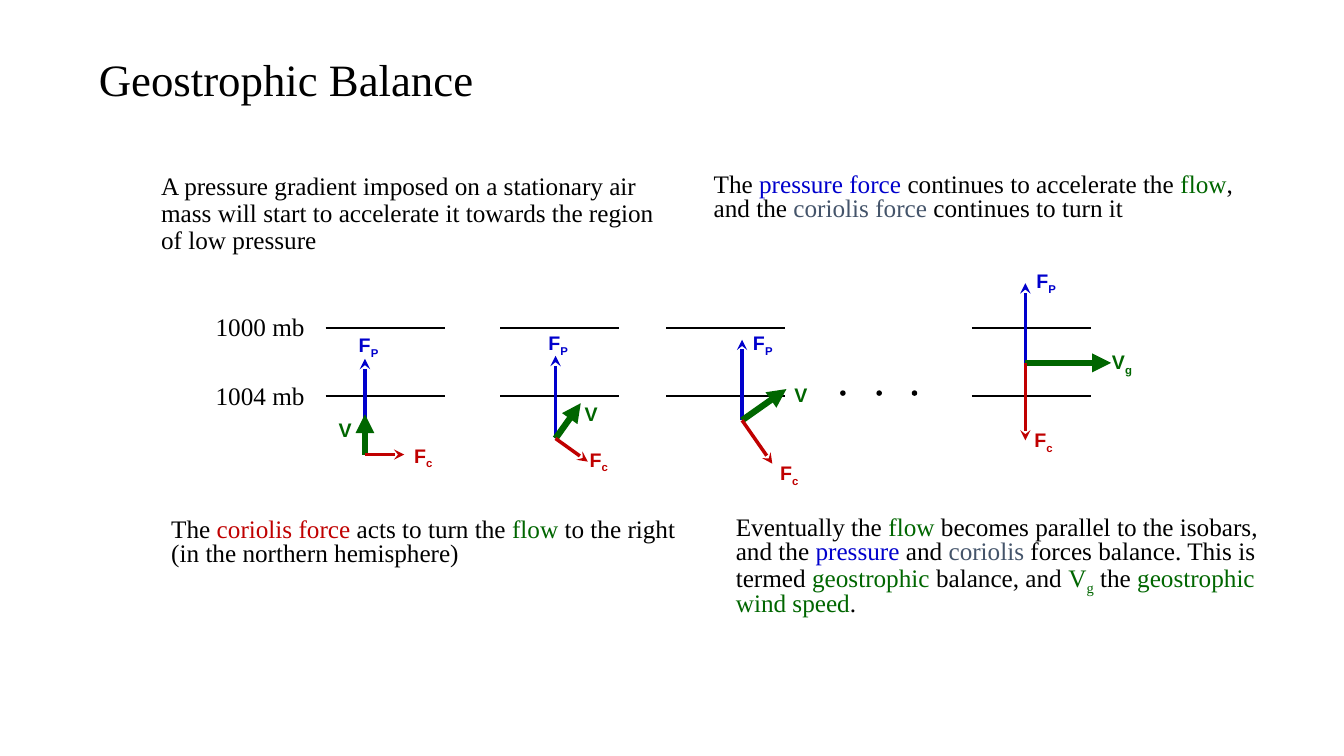
import pptx
import pptx.util
import pptx.dml.color
import pptx.enum.shapes
import pptx.enum.text
import pptx.oxml.ns
import lxml.etree

PX = 9144  # 100 px to the inch
THEME = {
    "serif": "Times New Roman", "sans": "Arial",
    "title": 32, "body": 18, "label": 14,
    "ink": "000000", "pressure": "0000CC", "flow": "006600",
    "coriolis": "C00000", "slate": "44546A",
}

deck = pptx.Presentation()
deck.slide_width, deck.slide_height = 1333 * PX, 750 * PX
page = deck.slides.add_slide(deck.slide_layouts[5])


def write(box, area, spans, size="body", face="serif", spacing=None, wrap=True):
    """Place a text shape; spans are (text, colour) or (text, colour, "sub")."""
    box.left, box.top, box.width, box.height = [length * PX for length in area]
    box.text_frame.word_wrap = wrap
    para = box.text_frame.paragraphs[0]
    para.alignment = pptx.enum.text.PP_ALIGN.LEFT
    para.line_spacing = spacing
    for text, colour, *sub in spans:
        span = para.add_run()
        span.text = text
        span.font.name = THEME[face]
        span.font.size = pptx.util.Pt(THEME[size])
        span.font.bold = face == "sans"
        span.font.color.rgb = pptx.dml.color.RGBColor.from_string(THEME[colour])
        if sub:
            span.font._element.set("baseline", "-25000")


def draw_line(start, end, colour, weight, head=None):
    line = page.shapes.add_connector(
        pptx.enum.shapes.MSO_CONNECTOR.STRAIGHT,
        *[length * PX for length in (*start, *end)])
    line.line.color.rgb = pptx.dml.color.RGBColor.from_string(THEME[colour])
    line.line.width = pptx.util.Pt(weight)
    if head:
        tail = lxml.etree.SubElement(
            line.line._get_or_add_ln(), pptx.oxml.ns.qn("a:tailEnd"))
        tail.set("type", head)
    lxml.etree.SubElement(line._element.spPr, pptx.oxml.ns.qn("a:effectLst"))


# Title
title = page.shapes.title
write(title, (88, 30, 900, 102), [("Geostrophic Balance", "ink")],
      size="title", spacing=0.9)
title.text_frame.vertical_anchor = pptx.enum.text.MSO_ANCHOR.MIDDLE

# Explanations above and below the diagram
explanations = [
    ((150, 167, 528, 98), 0.9, [
        ("A pressure gradient imposed on a stationary air mass will start to "
         "accelerate it towards the region of low pressure", "ink")]),
    ((160, 510, 545, 82), 0.8, [
        ("The ", "ink"), ("coriolis force ", "coriolis"),
        ("acts to turn the ", "ink"), ("flow", "flow"),
        (" to the right (in the northern hemisphere)", "ink")]),
    ((698, 168, 561, 90), 0.8, [
        ("The ", "ink"), ("pressure force ", "pressure"),
        ("continues to accelerate the ", "ink"), ("flow", "flow"),
        (", and the ", "ink"), ("coriolis force", "slate"),
        (" continues to turn it", "ink")]),
    ((720, 508, 573, 126), 0.8, [
        ("Eventually the ", "ink"), ("flow", "flow"),
        (" becomes parallel to the isobars, and the ", "ink"),
        ("pressure", "pressure"), (" and ", "ink"), ("coriolis", "slate"),
        (" forces balance. This is termed ", "ink"), ("geostrophic", "flow"),
        (" balance, and ", "ink"), ("V", "flow"), ("g", "flow", "sub"),
        (" the ", "ink"), ("geostrophic wind speed", "flow"), (".", "ink")]),
]
for area, spacing, spans in explanations:
    write(page.shapes.add_textbox(0, 0, 0, 0), area, spans, spacing=spacing)

# Isobar names
isobars = {"1000 mb": 325, "1004 mb": 393}
for name, y in isobars.items():
    write(page.shapes.add_textbox(0, 0, 0, 0), (204, y - 21, 109, 40),
          [(name, "ink")], wrap=False)

# Stages: isobar left, arrow origin, then (tip, label corner) for each vector
vectors = [("pressure", "F", "P", 2.5, "stealth"),
           ("flow", "V", "", 4.5, "triangle"),
           ("coriolis", "F", "c", 2.5, "stealth")]
stages = [
    (323, (362, 451), [((362, 356), (346, 325)), ((362, 411), (326, 410)),
                       ((401, 451), (401, 435))]),
    (496, (551, 435), [((551, 353), (534, 323)), ((576, 400), (570, 394)),
                       ((583, 458), (575, 439))]),
    (661, (736, 417), [((736, 337), (737, 323)), ((780, 386), (778, 375)),
                       ((766, 460), (764, 452))]),
    (964, (1017, 360), [((1017, 281), (1018, 262)), ((1102, 360), (1093, 342)),
                        ((1017, 437), (1016, 420))]),
]
for left, origin, ends in stages:
    for y in isobars.values():
        draw_line((left, y), (left + 118, y), "ink", 1.5)
    for (colour, letter, index, weight, head), (tip, corner) in zip(vectors, ends):
        draw_line(origin, tip, colour, weight, head)
        if colour == "flow" and left == stages[-1][0]:
            index = "g"
        spans = [(letter, colour)]
        if index:
            spans.append((index, colour, "sub"))
        write(page.shapes.add_textbox(0, 0, 0, 0),
              (*corner, 40 if index else 33, 34), spans,
              size="label", face="sans", wrap=False)

# Dots standing for the stages in between
for x in (834, 870, 905):
    dot = page.shapes.add_shape(pptx.enum.shapes.MSO_SHAPE.OVAL,
                                x * PX, 388 * PX, 4 * PX, 4 * PX)
    dot.shadow.inherit = False
    dot.fill.solid()
    dot.fill.fore_color.rgb = pptx.dml.color.RGBColor.from_string(THEME["ink"])
    dot.line.color.rgb = pptx.dml.color.RGBColor.from_string(THEME["ink"])
    dot.line.width = pptx.util.Pt(1)

deck.save("out.pptx")
